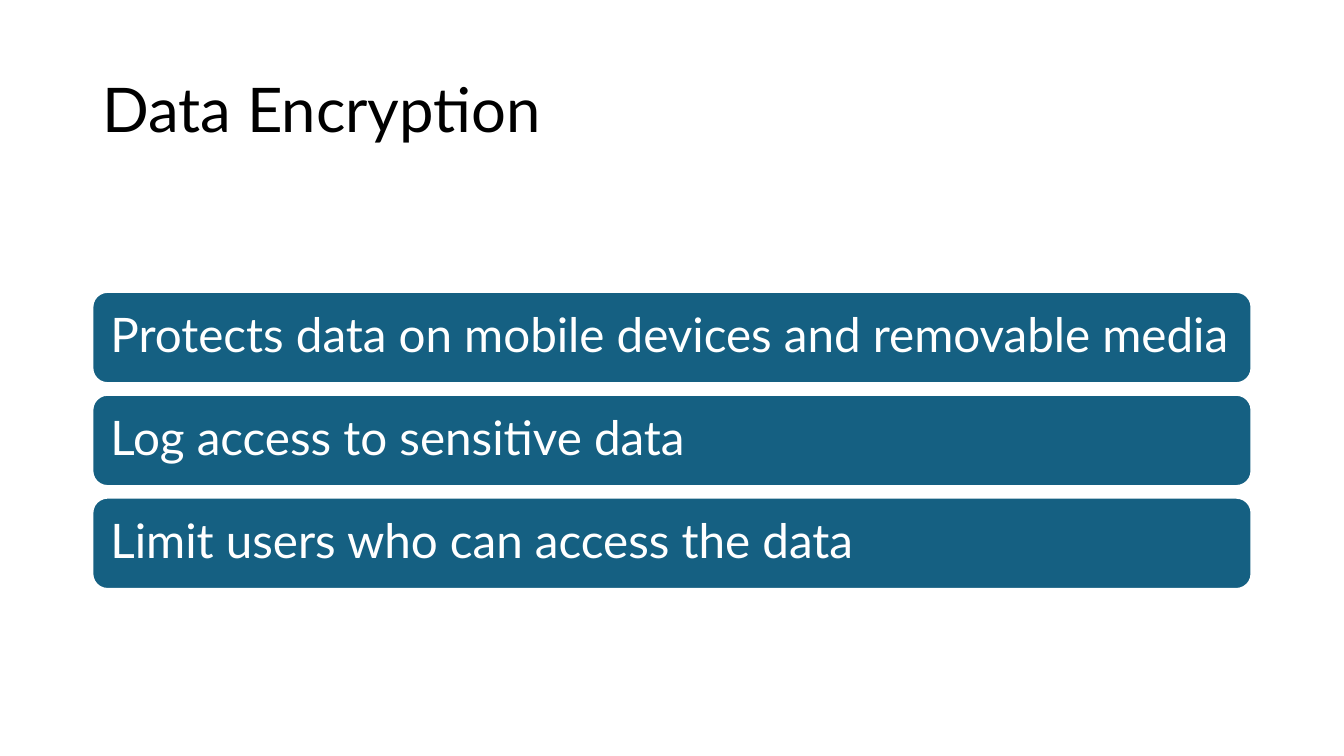
from pptx import Presentation
from pptx.dml.color import RGBColor
from pptx.enum.shapes import MSO_SHAPE
from pptx.enum.text import MSO_ANCHOR, PP_ALIGN
from pptx.util import Pt

PX = 9525
BLACK = RGBColor(0x00, 0x00, 0x00)
WHITE = RGBColor(0xFF, 0xFF, 0xFF)
TEAL = RGBColor(0x15, 0x60, 0x82)

LEFT, WIDTH = 88, 1104
BAR_TOP, BAR_HEIGHT, BAR_PITCH = 278, 87, 98
BAR_INSET = 13 * PX


def set_text(sp, text, size, color):
    tf = sp.text_frame
    tf.word_wrap = True
    tf.vertical_anchor = MSO_ANCHOR.MIDDLE
    tf.text = text
    p = tf.paragraphs[0]
    p.alignment = PP_ALIGN.LEFT
    p.line_spacing = 0.9
    r = p.runs[0]
    r.font.name = "Lato"
    r.font.size = Pt(size)
    r.font.color.rgb = color
    return tf


prs = Presentation()
prs.slide_width = 1280 * PX
prs.slide_height = 720 * PX
s = prs.slides.add_slide(prs.slide_layouts[6])

title = s.shapes.add_textbox(LEFT * PX, 38 * PX, WIDTH * PX, 139 * PX)
set_text(title, "Data Encryption", 44, BLACK)

measures = [
    "Protects data on mobile devices and removable media",
    "Log access to sensitive data",
    "Limit users who can access the data",
]
for i, measure in enumerate(measures):
    top = BAR_TOP + i * BAR_PITCH
    sp = s.shapes.add_shape(
        MSO_SHAPE.ROUNDED_RECTANGLE,
        LEFT * PX, top * PX, WIDTH * PX, BAR_HEIGHT * PX,
    )
    sp.shadow.inherit = False
    sp.fill.solid()
    sp.fill.fore_color.rgb = TEAL
    sp.line.color.rgb = WHITE
    sp.line.width = Pt(1.5)
    tf = set_text(sp, measure, 34, WHITE)
    tf.margin_left = tf.margin_right = BAR_INSET
    tf.margin_top = tf.margin_bottom = BAR_INSET

prs.save("out.pptx")
